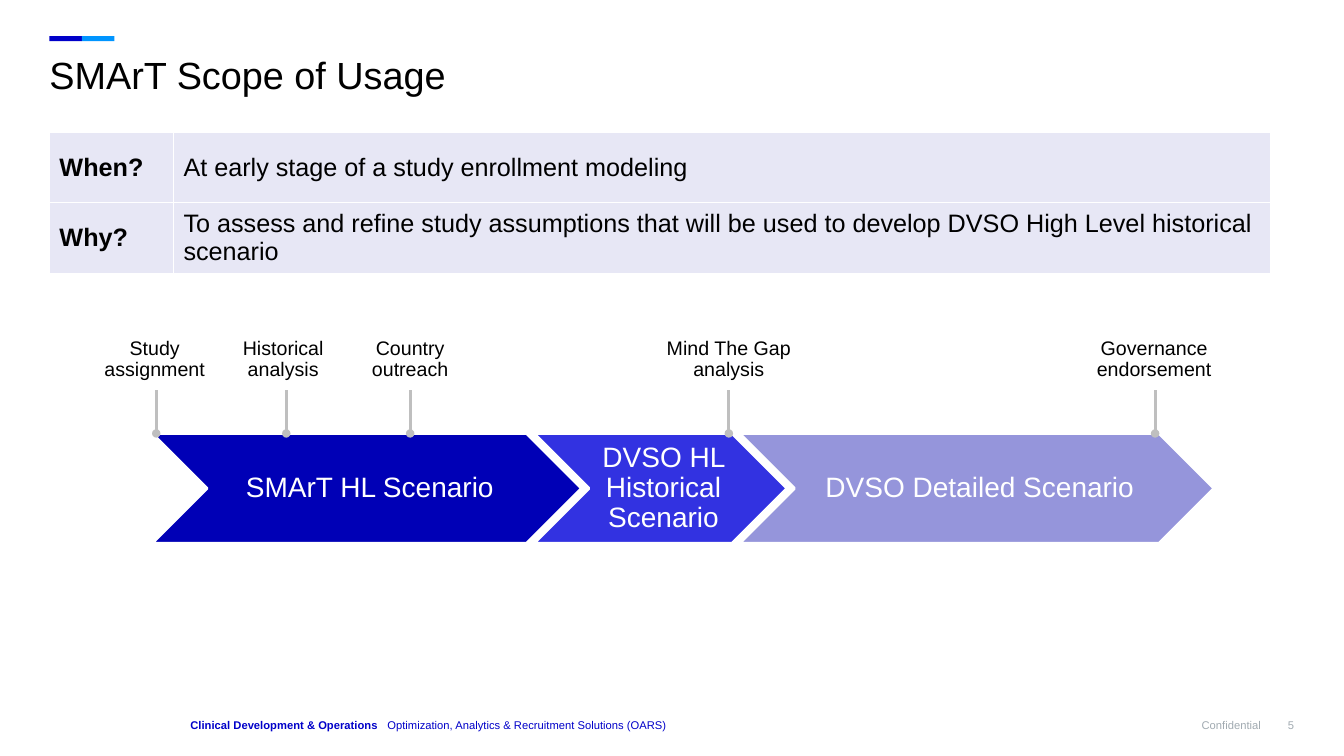
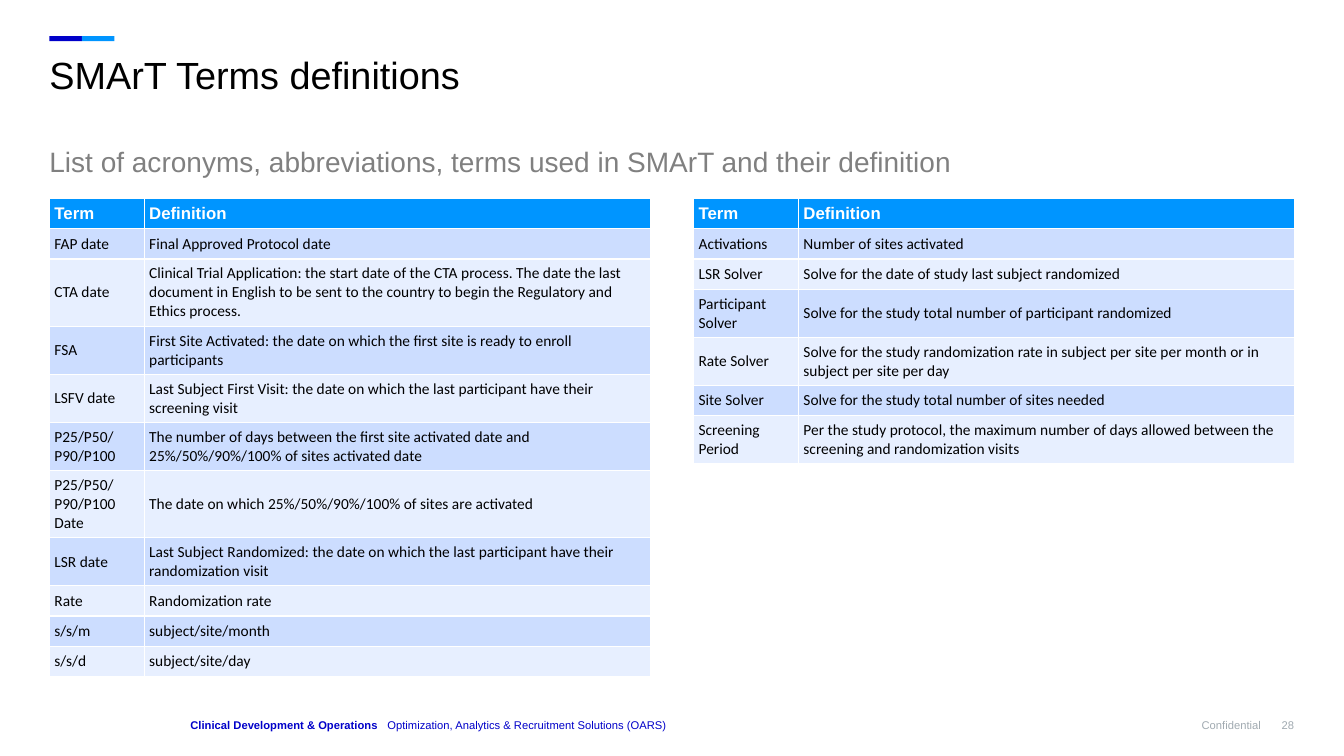
from lxml import etree
from pptx import Presentation
from pptx.dml.color import RGBColor
from pptx.enum.shapes import MSO_CONNECTOR, MSO_SHAPE
from pptx.enum.text import MSO_ANCHOR, MSO_AUTO_SIZE, PP_ALIGN
from pptx.oxml.ns import qn
from pptx.util import Pt

NAVY, SKY, BLACK, WHITE = "0000C9", "0095FF", "000000", "FFFFFF"
FOOTER_GREY, SUBTITLE_GREY, STEM_GREY = "A1AAB1", "808080", "BFBFBF"
SCOPE_FILL, BANDS = "E7E7F5", ("CCDDFF", "E7EFFF")

MARGIN, CONTENT_WIDTH = 35.3, 889
TITLE_BOX = (MARGIN, 38, CONTENT_WIDTH, 67)
SUBTITLE_BOX = (MARGIN, 103, CONTENT_WIDTH, 31)
FOOTER_TOP, FOOTER_HEIGHT = 496, 26.5

SCOPE = [
    ("When?", "At early stage of a study enrollment modeling"),
    ("Why?", "To assess and refine study assumptions that will be used to develop "
             "DVSO High Level historical scenario"),
]
# Scenario, width, fill
SCENARIOS = [
    ("SMArT HL Scenario", 306.7, "0000B6"),
    ("DVSO HL Historical Scenario", 180.7, "3232E1"),
    ("DVSO Detailed Scenario", 339, "9595DB"),
]
# Milestone, stem and label centre, both measured from the left of the timeline
MILESTONES = [
    ("Study assignment", 2.9, 1.8),
    ("Historical analysis", 95.8, 93.6),
    ("Country outreach", 184.3, 184.3),
    ("Mind The Gap analysis", 411.9, 411.9),
    ("Governance endorsement", 716.4, 715.7),
]
STUDY_TERMS = [
    ("FAP date", "Final Approved Protocol date"),
    ("CTA date", "Clinical Trial Application: the start date of the CTA process. The date "
                 "the last document in English to be sent to the country to begin the "
                 "Regulatory and Ethics process."),
    ("FSA", "First Site Activated: the date on which the first site is ready to enroll "
            "participants"),
    ("LSFV date", "Last Subject First Visit: the date on which the last participant have "
                  "their screening visit"),
    ("P25/P50/P90/P100", "The number of days between the first site activated date and "
                         "25%/50%/90%/100% of sites activated date"),
    ("P25/P50/P90/P100 Date", "The date on which 25%/50%/90%/100% of sites are activated"),
    ("LSR date", "Last Subject Randomized: the date on which the last participant have "
                 "their randomization visit"),
    ("Rate", "Randomization rate"),
    ("s/s/m", "subject/site/month"),
    ("s/s/d", "subject/site/day"),
]
SOLVER_TERMS = [
    ("Activations", "Number of sites activated"),
    ("LSR Solver", "Solve for the date of study last subject randomized"),
    ("Participant Solver", "Solve for the study total number of participant randomized"),
    ("Rate Solver", "Solve for the study randomization rate in subject per site per month "
                    "or in subject per site per day"),
    ("Site Solver", "Solve for the study total number of sites needed"),
    ("Screening Period", "Per the study protocol, the maximum number of days allowed "
                         "between the screening and randomization visits"),
]


def color(hex_code):
    return RGBColor.from_string(hex_code)


def points(*lengths):
    return [Pt(length) for length in lengths]


def set_frame(frame, insets, anchor):
    frame.word_wrap = True
    frame.auto_size = MSO_AUTO_SIZE.NONE
    (frame.margin_left, frame.margin_top,
     frame.margin_right, frame.margin_bottom) = points(*insets)
    frame.vertical_anchor = anchor


def add_run(paragraph, text, size, hex_code, bold=False, font="Arial"):
    run = paragraph.add_run()
    run.text = text
    run.font.name, run.font.size, run.font.bold = font, Pt(size), bold
    run.font.color.rgb = color(hex_code)


def start_paragraph(frame, align=PP_ALIGN.LEFT, spacing=0.9):
    paragraph = frame.paragraphs[0]
    paragraph.alignment, paragraph.line_spacing = align, spacing
    paragraph.space_before = Pt(0)
    return paragraph


def add_text_box(slide, box, insets, anchor, align):
    """Add an empty text box and return its first paragraph."""
    frame = slide.shapes.add_textbox(*points(*box)).text_frame
    set_frame(frame, insets, anchor)
    return start_paragraph(frame, align)


def add_solid(slide, preset, box, fill):
    shape = slide.shapes.add_shape(preset, *points(*box))
    shape.shadow.inherit = False
    shape.fill.solid()
    shape.fill.fore_color.rgb = color(fill)
    shape.line.fill.background()
    return shape


def fill_placeholder(placeholder, box, text, size, hex_code):
    (placeholder.left, placeholder.top,
     placeholder.width, placeholder.height) = points(*box)
    set_frame(placeholder.text_frame, (0, 3.6, 0, 3.6), MSO_ANCHOR.TOP)
    paragraph = start_paragraph(placeholder.text_frame, spacing=0.85)
    properties = paragraph._p.get_or_add_pPr()
    properties.set("marL", "0")
    properties.set("indent", "0")
    etree.SubElement(properties, qn("a:buNone"))
    add_run(paragraph, text, size, hex_code)


def add_footer(slide, page):
    def footer_text(left, width, align):
        return add_text_box(slide, (left, FOOTER_TOP, width, FOOTER_HEIGHT),
                            (0, 0, 0, 0), MSO_ANCHOR.BOTTOM, align)

    add_run(footer_text(903, 21.4, PP_ALIGN.RIGHT), str(page), 8, FOOTER_GREY)
    add_run(footer_text(480, 420.8, PP_ALIGN.RIGHT), "Confidential", 8, FOOTER_GREY)
    department = footer_text(136, 354, PP_ALIGN.LEFT)
    tabs = etree.SubElement(department._p.get_or_add_pPr(), qn("a:tabLst"))
    etree.SubElement(tabs, qn("a:tab"), pos=str(Pt(140.7)), algn="l")
    add_run(department, "Clinical Development & Operations\t", 8, NAVY, bold=True)
    add_run(department, "Optimization, Analytics & Recruitment Solutions (OARS)", 8, NAVY)


def add_branded_slide(deck, layout, title, page):
    """Add a slide with the accent bar, title and footer that all slides share."""
    slide = deck.slides.add_slide(deck.slide_layouts.get_by_name(layout))
    bar_width = 23.2
    for index, fill in enumerate((NAVY, SKY)):
        bar = (MARGIN + index * bar_width, 25.8, bar_width, 3.6)
        add_solid(slide, MSO_SHAPE.RECTANGLE, bar, fill)
    fill_placeholder(slide.shapes.title, TITLE_BOX, title, 27, BLACK)
    add_footer(slide, page)
    return slide


def add_grid(slide, left, top, column_widths, row_height, row_count):
    table = slide.shapes.add_table(
        row_count, len(column_widths),
        *points(left, top, sum(column_widths), row_height * row_count)).table
    for column, width in zip(table.columns, column_widths):
        column.width = Pt(width)
    return table


def fill_cell(cell, text, fill, size, hex_code=BLACK, bold=False, font="Arial", inset=3.6):
    cell.fill.solid()
    cell.fill.fore_color.rgb = color(fill)
    cell.vertical_anchor = MSO_ANCHOR.MIDDLE
    cell.margin_left = cell.margin_right = Pt(inset)
    cell.margin_top = cell.margin_bottom = Pt(3.6)
    add_run(cell.text_frame.paragraphs[0], text, size, hex_code, bold, font)


def add_scope_table(slide, left, top):
    table = add_grid(slide, left, top, (88.6, 784), 50.4, len(SCOPE))
    table.first_row = False
    for row, texts in zip(table.rows, SCOPE):
        for index, (cell, text) in enumerate(zip(row.cells, texts)):
            fill_cell(cell, text, SCOPE_FILL, 18, bold=index == 0, inset=7.2)


def add_terms_table(slide, left, top, column_widths, terms):
    table = add_grid(slide, left, top, column_widths, 21.6, len(terms) + 1)
    for cell, heading in zip(table.rows[0].cells, ("Term", "Definition")):
        fill_cell(cell, heading, SKY, 12, WHITE, bold=True)
    for index, texts in enumerate(terms):
        for cell, text in zip(table.rows[index + 1].cells, texts):
            fill_cell(cell, text, BANDS[index % 2], 11, font="Calibri")


def add_milestone(slide, name, stem_x, label_x, top, stem_end):
    label_width, label_height = 98, 39
    stem = slide.shapes.add_connector(
        MSO_CONNECTOR.STRAIGHT, *points(stem_x, top + 41, stem_x, stem_end))
    stem.line.color.rgb = color(STEM_GREY)
    stem.line.width = Pt(2)
    etree.SubElement(stem.line._get_or_add_ln(), qn("a:tailEnd"), type="oval")
    etree.SubElement(stem._element.spPr, qn("a:effectLst"))
    label = add_text_box(
        slide, (label_x - label_width / 2, top, label_width, label_height),
        (3.6,) * 4, MSO_ANCHOR.MIDDLE, PP_ALIGN.CENTER)
    add_run(label, name, 14, BLACK)


def add_timeline(slide, left, top):
    """Add the chevron row with its milestones above."""
    chevron_top, height, gap = top + 72, 78.5, 5.3
    tip = height / 2
    chevron_left = left
    for name, width, fill in SCENARIOS:
        chevron = add_solid(slide, MSO_SHAPE.CHEVRON,
                            (chevron_left, chevron_top, width, height), fill)
        chevron.line.color.rgb = color(WHITE)
        chevron.line.width = Pt(2)
        set_frame(chevron.text_frame, (6.5, 2.2, 2.2, 2.2), MSO_ANCHOR.MIDDLE)
        add_run(start_paragraph(chevron.text_frame, PP_ALIGN.CENTER), name, 20, WHITE)
        chevron_left += width - tip + gap
    for name, stem_offset, label_offset in MILESTONES:
        add_milestone(slide, name, left + stem_offset, left + label_offset,
                      top, chevron_top)


def build_scope_slide(deck):
    slide = add_branded_slide(deck, "Title Only", "SMArT Scope of Usage", 5)
    add_scope_table(slide, MARGIN, 94.3)
    add_timeline(slide, 108.7, 237.6)


def build_terms_slide(deck):
    slide = add_branded_slide(deck, "Title and Content", "SMArT Terms definitions", 28)
    fill_placeholder(
        slide.placeholders[1], SUBTITLE_BOX,
        "List of acronyms, abbreviations, terms used in SMArT and their definition",
        20, SUBTITLE_GREY)
    tables_top = 141.8
    add_terms_table(slide, MARGIN, tables_top, (67.7, 361.4), STUDY_TERMS)
    add_terms_table(slide, 495.4, tables_top, (74.9, 354.2), SOLVER_TERMS)


def main():
    deck = Presentation()
    deck.slide_width, deck.slide_height = points(960, 540)
    build_scope_slide(deck)
    build_terms_slide(deck)
    deck.save("out.pptx")


if __name__ == "__main__":
    main()
